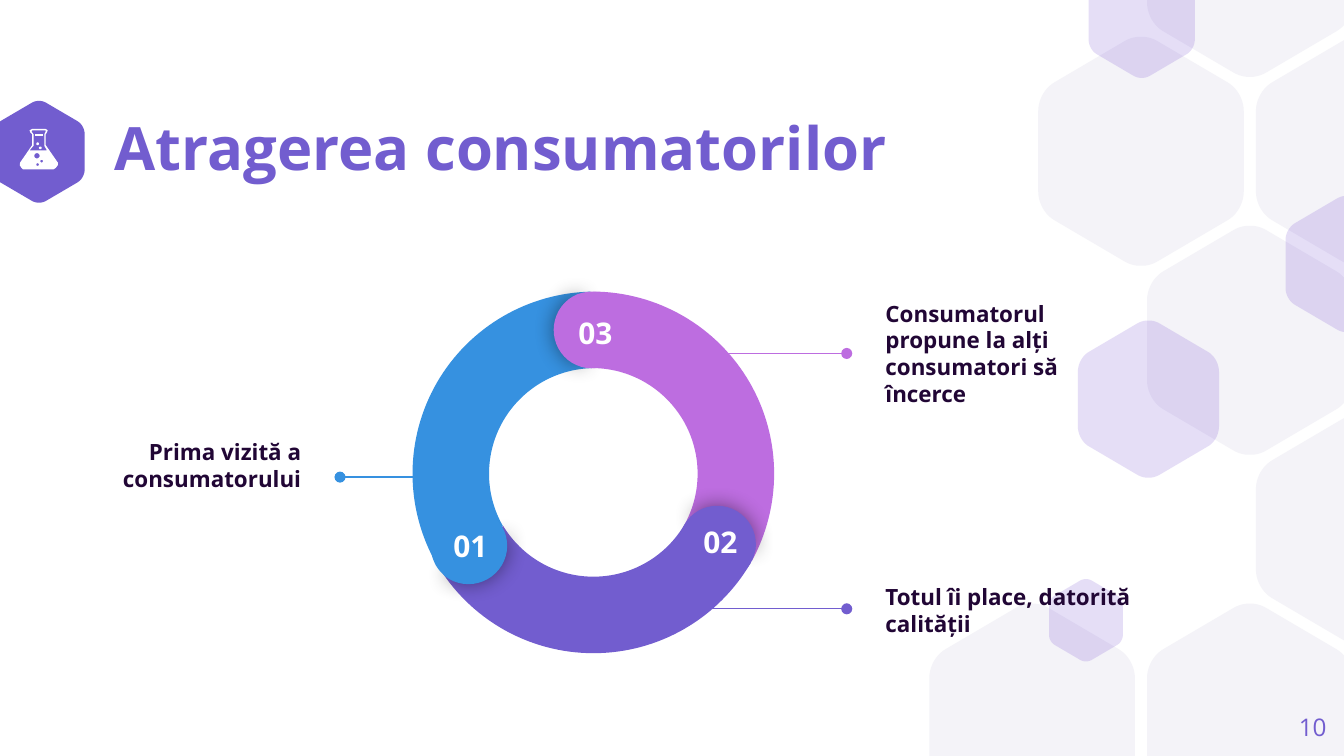
from math import cos, pi, sin

from lxml import etree
from pptx import Presentation
from pptx.dml.color import RGBColor
from pptx.enum.shapes import MSO_CONNECTOR, MSO_SHAPE
from pptx.enum.text import MSO_ANCHOR, PP_ALIGN
from pptx.oxml import parse_xml
from pptx.oxml.ns import qn
from pptx.util import Inches, Pt

VIOLET, BLUE, PINK = "725DCF", "3691E0", "BD6DE0"
PALE, ACCENT, WHITE, INK = "F4F3F8", "5322C9", "FFFFFF", "210635"
PAGE_HEIGHT = 10 * 9 / 16
NS = 'xmlns:a="http://schemas.openxmlformats.org/drawingml/2006/main"'
rgb = RGBColor.from_string

deck = Presentation()
deck.slide_width, deck.slide_height = Inches(10), Inches(PAGE_HEIGHT)
page = deck.slides.add_slide(deck.slide_layouts[5])
shapes = page.shapes


def write(box, text, size=12, color=INK, bold=True, align=PP_ALIGN.LEFT,
          anchor=MSO_ANCHOR.MIDDLE, inset=0.1, spacing=None):
    frame = box.text_frame
    frame.word_wrap = True
    frame.vertical_anchor = anchor
    frame.margin_left = frame.margin_right = Inches(inset)
    frame.margin_top = frame.margin_bottom = Inches(inset)
    para = frame.paragraphs[0]
    para.alignment, para.line_spacing = align, spacing
    span = para.add_run()
    span.text = text
    span.font.name, span.font.size, span.font.bold = "Open Sans", Pt(size), bold
    span.font.color.rgb = rgb(color)


def outline(contours, color, alpha=None):
    contours = [[(Inches(x), Inches(y)) for x, y in points] for points in contours]
    builder = shapes.build_freeform(*contours[0][0], scale=1.0)
    for i, points in enumerate(contours):
        if i:
            builder.move_to(*points[0])
        builder.add_line_segments(points[1:], close=True)
    shape = builder.convert_to_shape()
    shape.shadow.inherit = False
    shape.fill.solid()
    shape.fill.fore_color.rgb = rgb(color)
    shape.line.fill.background()
    if alpha:
        tint = shape._element.spPr.find(qn("a:solidFill"))[0]
        etree.SubElement(tint, qn("a:alpha")).set("val", str(alpha * 1000))


# Rounded hexagon of unit size: one quarter, mirrored into four
quarter = [(0.5, 0.175)]
for bend in ([(0.5, 0.175), (0.5, 0.228), (0.467, 0.281), (0.418, 0.305)],
             [(0.085, 0.482), (0.033, 0.512), (-0.033, 0.512), (-0.085, 0.482)]):
    for step in range(11):
        t = step / 10
        weights = ((1 - t) ** 3, 3 * t * (1 - t) ** 2, 3 * t * t * (1 - t), t ** 3)
        point = [sum(w * p[axis] for w, p in zip(weights, bend)) for axis in (0, 1)]
        if point[0] >= 0:
            quarter.append(point)
half = quarter + [(-x, y) for x, y in reversed(quarter)]
hexagon = half + [(x, -y) for x, y in reversed(half)]

# Hexagons: centre x, centre y, width, colour, opacity
grid = [(0, 4), (2, 4), (3, 1), (2, 0), (2, 2), (1, 1), (3, 3)]
hexagons = [(0.29, 1.13, 0.68, VIOLET, None)]
hexagons += [(7.68 + 0.81 * col, -0.28 + 1.406 * row, 1.53, PALE, None)
             for col, row in grid]
hexagons += [(x, y, width, ACCENT, 15) for x, y, width in
             [(10.02, 1.965, 0.91), (8.08, 4.615, 0.55),
              (8.495, 0.14, 0.79), (8.545, 2.97, 1.05)]]
for cx, cy, width, color, alpha in hexagons:
    points = [(cx + x * width, min(max(cy + y * width * 1.105, 0), PAGE_HEIGHT))
              for x, y in hexagon]
    outline([points], color, alpha)

# Flask icon: glass with holes, then bubbles and a mark in the neck
glass = [(0.24, 0.96), (0.34, 0.96), (0.355, 0.97), (0.35, 0.985), (0.34, 1),
         (0.34, 1.08), (0.43, 1.21), (0.43, 1.23), (0.415, 1.25), (0.4, 1.26),
         (0.17, 1.26), (0.16, 1.25), (0.147, 1.23), (0.15, 1.21), (0.24, 1.08),
         (0.24, 1), (0.225, 0.985), (0.22, 0.97)]
neck = [(0.24, 0.97), (0.34, 0.97), (0.34, 0.98), (0.33, 1), (0.33, 1.085),
        (0.35, 1.12), (0.22, 1.12), (0.25, 1.085), (0.25, 1), (0.235, 0.98)]
bubbles = [[(x + r * cos(k * pi / 12), y + r * sin(k * pi / 12)) for k in range(24)]
           for x, y, r in [(0.275, 1.16, 0.02), (0.31, 1.2, 0.01), (0.28, 1.225, 0.01),
                           (0.3, 1.1, 0.01), (0.28, 1.07, 0.01)]]
mark = [(0.26, 1), (0.32, 1), (0.32, 1.01), (0.26, 1.01)]
outline([glass, neck, *bubbles[:3]], WHITE)
for contour in (*bubbles[3:], mark):
    outline([contour], WHITE)

# Title and page number
title = shapes.title
title.left, title.top, title.width, title.height = map(Inches, (0.85, 0.91, 6.57, 0.43))
write(title, "Atragerea consumatorilor", size=32, color=VIOLET, inset=0, spacing=0.9)
number = shapes.add_textbox(*map(Inches, (9.27, 5.19, 0.6, 0.43)))
write(number, "10", size=13, color=VIOLET, bold=False, align=PP_ALIGN.RIGHT, inset=0)

# Captions with their leader lines
captions = [
    ("Prima vizită a consumatorului", 0.27, 2.83, PP_ALIGN.RIGHT, 3.15, 2.53, 3.55, BLUE),
    ("Consumatorul propune la alți consumatori să încerce",
     6.49, 2, PP_ALIGN.LEFT, 5.04, 6.3, 2.63, PINK),
    ("Totul îi place, datorită calității",
     6.49, 3.91, PP_ALIGN.LEFT, 5.04, 6.3, 4.53, VIOLET),
]
for text, left, top, align, start, end, y, color in captions:
    box = shapes.add_textbox(Inches(left), Inches(top), Inches(2.07), Inches(1.26))
    write(box, text, align=align)
    leader = shapes.add_connector(MSO_CONNECTOR.STRAIGHT, Inches(start), Inches(y),
                                  Inches(end), Inches(y))
    leader.line.color.rgb = rgb(color)
    leader.line.width = Pt(0.75)
    etree.SubElement(leader.line._get_or_add_ln(), qn("a:tailEnd")).set("type", "oval")
    etree.SubElement(leader._element.spPr, qn("a:effectLst"))

# Ring: three arcs, then a round cap (shaded half, plain half) on each
ring = [(MSO_SHAPE.BLOCK_ARC, x, y, 2.71, 2.71, turn, (126.23, 197.2, 0.21), color, False)
        for x, y, turn, color in [(3.05, 2.17, 60, PINK), (3.06, 2.15, 180, VIOLET),
                                  (3.07, 2.17, 300, BLUE)]]
for x, y, turn, color in [(3.21, 3.78, 240, BLUE), (4.12, 2.17, 0, PINK),
                          (5.06, 3.76, 120, VIOLET)]:
    ring.append((MSO_SHAPE.PIE, x, y, 0.56, 0.57, turn + 0.65, (61.9, 149.96), color, True))
    ring.append((MSO_SHAPE.PIE, x, y, 0.56, 0.57, (turn + 180) % 360,
                 (40.28, 171.84), color, False))
for kind, x, y, width, height, turn, settings, color, shaded in ring:
    part = shapes.add_shape(kind, *map(Inches, (x, y, width, height)))
    part.rotation = turn
    for i, setting in enumerate(settings):
        part.adjustments[i] = setting
    part.fill.solid()
    part.fill.fore_color.rgb = rgb(color)
    part.line.fill.background()
    part.shadow.inherit = False
    if shaded:
        part._element.spPr.find(qn("a:effectLst")).append(parse_xml(
            f'<a:outerShdw {NS} blurRad="{Pt(11.2)}" dist="0" dir="0" algn="ctr" '
            'rotWithShape="0"><a:srgbClr val="000000"><a:alpha val="43000"/>'
            '</a:srgbClr></a:outerShdw>'))

# Ring numbers
for text, x, y in [("03", 4.18, 2.24), ("01", 3.25, 3.83), ("02", 5.11, 3.8)]:
    box = shapes.add_textbox(Inches(x), Inches(y), Inches(0.5), Inches(0.26))
    write(box, text, size=16, color=WHITE, align=PP_ALIGN.CENTER, anchor=MSO_ANCHOR.TOP)

deck.save("out.pptx")
